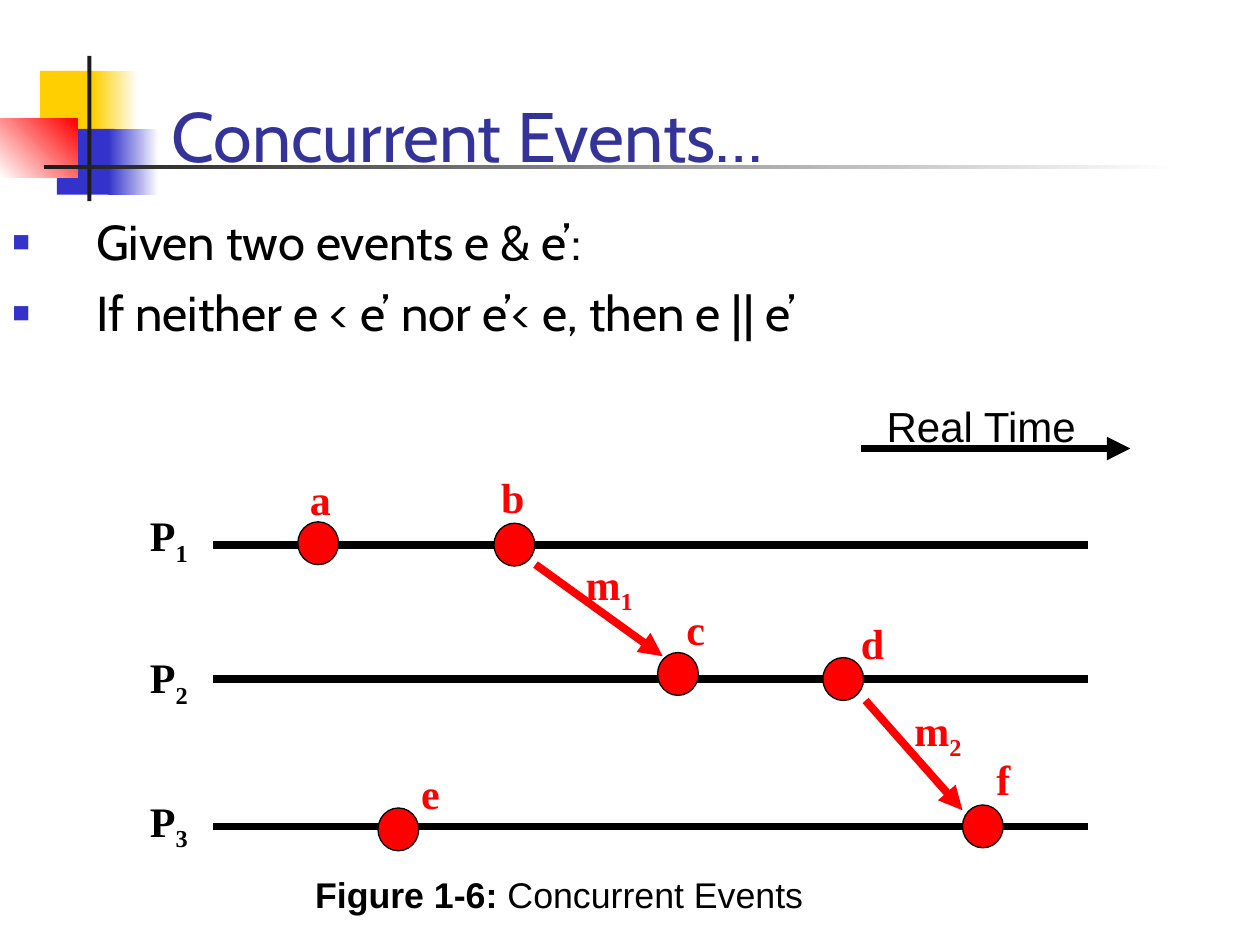
from pptx import Presentation
from pptx.dml.color import RGBColor
from pptx.enum.shapes import MSO_CONNECTOR, MSO_SHAPE
from pptx.enum.text import MSO_ANCHOR, PP_ALIGN
from pptx.oxml.ns import qn
from pptx.util import Pt
from lxml import etree

BLACK, RED, BLUE, YELLOW = "000000", "FF0000", "3333CC", "FFCF01"
WHITE, CHARCOAL, TITLE_BLUE = "FFFFFF", "1C1C1C", "333399"
SERIF, SANS, THEME_FONT = "Times New Roman", "Arial", "Cabin"
DOT_W, DOT_H = 23.3, 24.5


def rgb(color):
    return RGBColor.from_string(color)


def add_block(s, left, top, width, height, color, end=None, angle=0):
    sp = s.shapes.add_shape(MSO_SHAPE.RECTANGLE, Pt(left), Pt(top), Pt(width), Pt(height))
    sp.shadow.inherit = False
    sp.line.fill.background()
    if end is None:
        sp.fill.solid()
        sp.fill.fore_color.rgb = rgb(color)
        return
    sp.fill.gradient()
    sp.fill.gradient_angle = angle
    for stop, position, stop_color in zip(sp.fill.gradient_stops, (0, 1), (color, end)):
        stop.position = position
        stop.color.rgb = rgb(stop_color)


def add_line(s, x1, y1, x2, y2, color=BLACK, arrow=False):
    line = s.shapes.add_connector(MSO_CONNECTOR.STRAIGHT, Pt(x1), Pt(y1), Pt(x2), Pt(y2))
    line.line.color.rgb = rgb(color)
    line.line.width = Pt(4.5)
    if arrow:
        etree.SubElement(line.line._get_or_add_ln(), qn("a:tailEnd"), type="triangle")
    etree.SubElement(line._element.spPr, qn("a:effectLst"))


def add_dot(s, left, top):
    sp = s.shapes.add_shape(MSO_SHAPE.OVAL, Pt(left), Pt(top), Pt(DOT_W), Pt(DOT_H))
    sp.shadow.inherit = False
    sp.fill.solid()
    sp.fill.fore_color.rgb = rgb(RED)
    sp.line.color.rgb = rgb(BLACK)
    sp.line.width = Pt(0.75)


def add_text(s, left, top, width, height, text, size, font, color, bold=False, wrap=True):
    sp = s.shapes.add_textbox(Pt(left), Pt(top), Pt(width), Pt(height))
    tf = sp.text_frame
    tf.word_wrap = wrap
    tf.text = text
    for p in tf.paragraphs:
        for r in p.runs:
            format_run(r, size, font, color, bold)
    return tf


def format_run(r, size, font, color, bold=False):
    r.font.size = Pt(size)
    r.font.name = font
    r.font.color.rgb = rgb(color)
    r.font.bold = bold


def add_label(s, left, top, width, text, color, subscript="", font=SERIF, bold=True):
    height = 40 if subscript else 36
    tf = add_text(s, left, top, width, height, text, 24, font, color, bold, wrap=False)
    p = tf.paragraphs[0]
    p.alignment = PP_ALIGN.CENTER
    if subscript:
        r = p.add_run()
        r.text = subscript
        format_run(r, 24, font, color, bold)
        r.font._element.set("baseline", "-25000")


def add_bullet(p):
    pPr = p._p.get_or_add_pPr()
    pPr.set("marL", str(Pt(48)))
    pPr.set("indent", str(-Pt(48)))
    bullet_color = etree.SubElement(pPr, qn("a:buClr"))
    etree.SubElement(bullet_color, qn("a:srgbClr"), val=BLUE)
    etree.SubElement(pPr, qn("a:buSzPct"), val="60000")
    etree.SubElement(pPr, qn("a:buFont"), typeface=SANS)
    etree.SubElement(pPr, qn("a:buChar"), char="■")


def add_decoration(s):
    add_block(s, 23, 40.5, 34.5, 37.5, YELLOW)
    add_block(s, 53.3, 40.5, 25.5, 37.5, YELLOW, WHITE)
    add_block(s, 32.5, 73.7, 33, 37.5, BLUE)
    add_block(s, 62, 73.7, 28.8, 37.5, BLUE, WHITE)
    add_block(s, 0, 68, 44.2, 33.5, WHITE, RED, angle=45)
    add_block(s, 49.9, 32, 2.4, 83, CHARCOAL)
    add_block(s, 25, 94.3, 648, 2.3, CHARCOAL, WHITE)


def add_heading(s):
    tf = add_text(s, 91, 38, 613, 66.5, "Concurrent Events…", 40, THEME_FONT, TITLE_BLUE)
    tf.vertical_anchor = MSO_ANCHOR.BOTTOM
    points = "Given two events e & e’:\nIf neither e < e’ nor e’< e, then e || e’"
    tf = add_text(s, 0, 117.5, 720, 130, points, 28, THEME_FONT, BLACK)
    for p in tf.paragraphs:
        add_bullet(p)
    tf.paragraphs[1].space_before = Pt(7)


def add_timelines(s):
    processes = [("1", 311.3, 287.6), ("2", 388, 368.8), ("3", 472.3, 451)]
    for number, line_y, label_top in processes:
        add_line(s, 121.7, line_y, 622, line_y)
        add_label(s, 76.5, label_top, 40, "P", BLACK, number)
    add_line(s, 492, 256.3, 646, 256.3, arrow=True)
    add_label(s, 497, 225.6, 127.4, "Real Time", BLACK, font=SANS, bold=False)


def add_events(s):
    events = [
        ("a", 170.2, 298.2, 170, 267),
        ("b", 282.3, 299, 279.3, 265.7),
        ("c", 375.8, 372.9, 384.5, 341.6),
        ("d", 470.2, 375.8, 484.8, 349.2),
        ("e", 216, 461.7, 233, 435),
        ("f", 550, 460, 560.4, 427),
    ]
    for name, dot_left, dot_top, label_left, label_top in events:
        add_dot(s, dot_left, dot_top)
        add_label(s, label_left, label_top, 26, name, RED)


def add_messages(s):
    messages = [
        ("1", (306, 322.6, 378.7, 375), 325.1, 315.4),
        ("2", (494.6, 400.3, 550, 463), 513, 399),
    ]
    for number, ends, label_left, label_top in messages:
        add_line(s, *ends, color=RED, arrow=True)
        add_label(s, label_left, label_top, 46, "m", RED, number)


def add_caption(s):
    tf = add_text(s, 173, 497.8, 363, 33, "Figure 1-6:", 20.4, SANS, BLACK, bold=True)
    p = tf.paragraphs[0]
    p.line_spacing = 0.9
    r = p.add_run()
    r.text = " Concurrent Events"
    format_run(r, 20.4, SANS, BLACK)


def main():
    prs = Presentation()
    prs.slide_width, prs.slide_height = Pt(720), Pt(540)
    s = prs.slides.add_slide(prs.slide_layouts[6])
    add_decoration(s)
    add_heading(s)
    add_timelines(s)
    add_events(s)
    add_messages(s)
    add_caption(s)
    prs.save("out.pptx")


if __name__ == "__main__":
    main()
